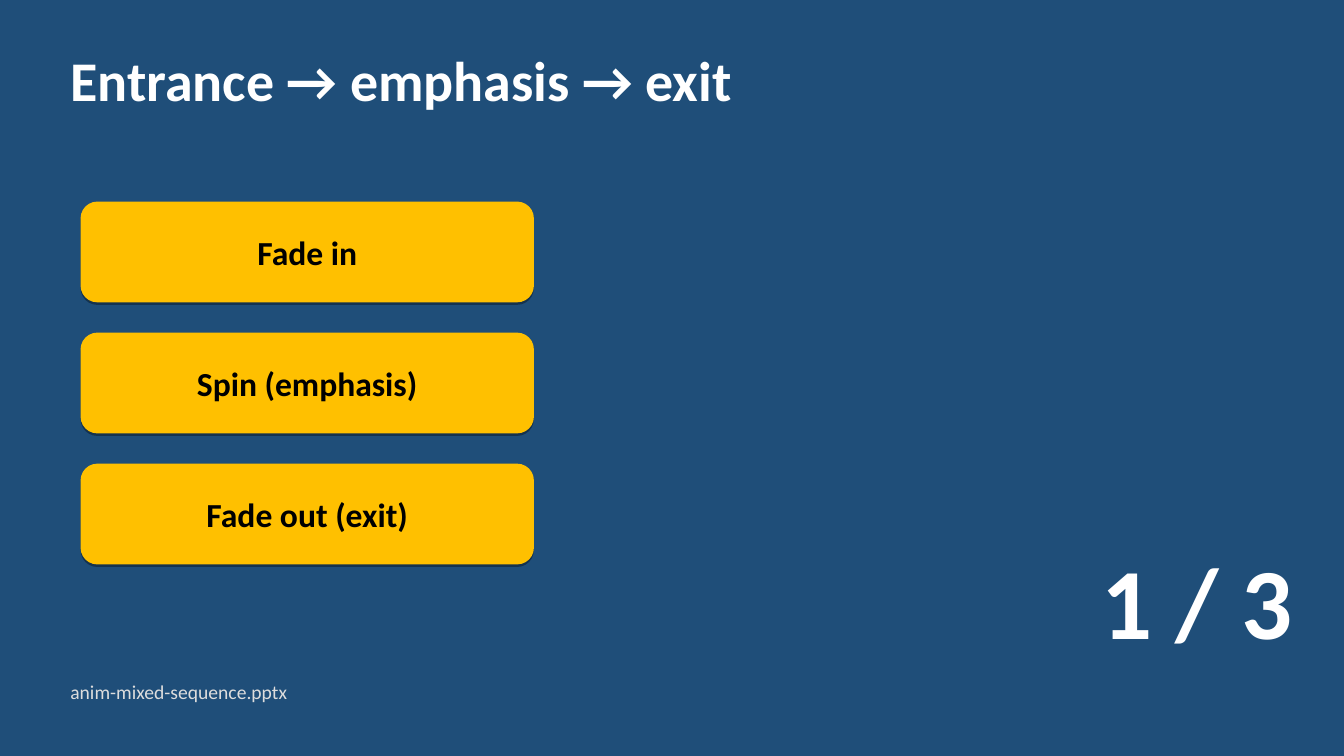
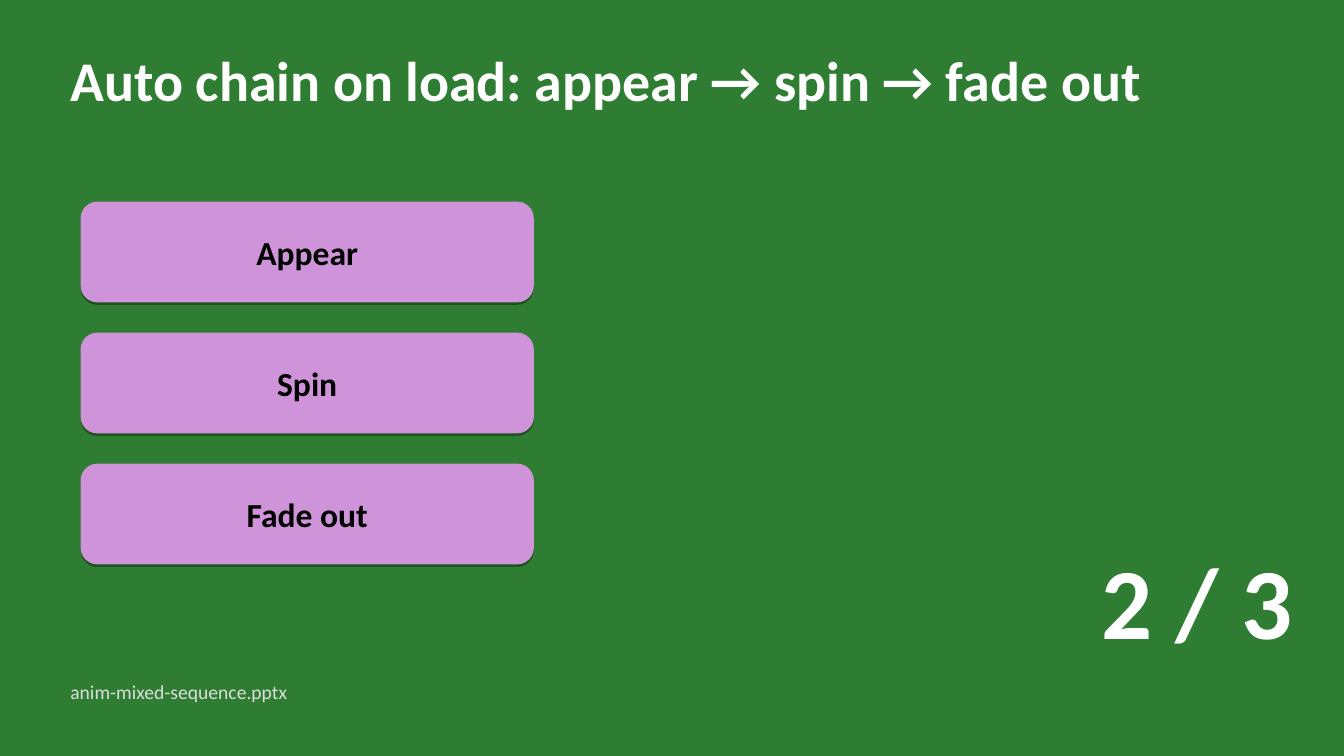
from dataclasses import dataclass

from lxml import etree
from pptx import Presentation
from pptx import util as u
from pptx.dml.color import RGBColor
from pptx.enum import shapes, text
from pptx.oxml import ns


@dataclass(frozen=True)
class Theme:
    font: str = "Calibri"
    light: str = "FFFFFF"
    muted: str = "DDDDDD"
    dark: str = "000000"
    blue: str = "1F4E79"
    green: str = "2E7D32"
    amber: str = "FFC000"
    lilac: str = "CE93D8"
    title_size: int = 40
    counter_size: int = 72
    footer_size: int = 14
    step_size: int = 24


THEME = Theme()
SLIDE_SIZE = (960.48, 540)
TITLE_BOX = (43.2, 28.8, 873.36, 55.44)
COUNTER_BOX = (714.96, 381.6, 216, 93.6)
FOOTER_BOX = (43.2, 482.4, 657.36, 23.76)
STEP_LEFT, STEP_TOP, STEP_WIDTH, STEP_HEIGHT, STEP_GAP = 57.6, 144, 324, 72, 21.6

FOOTER = "anim-mixed-sequence.pptx"
TOTAL = 3
SEQUENCES = [
    ("Entrance → emphasis → exit", THEME.blue, THEME.amber,
     ["Fade in", "Spin (emphasis)", "Fade out (exit)"]),
    ("Auto chain on load: appear → spin → fade out", THEME.green, THEME.lilac,
     ["Appear", "Spin", "Fade out"]),
]


def points(lengths):
    return [u.Pt(length) for length in lengths]


def paint(fill, color):
    fill.solid()
    fill.fore_color.rgb = RGBColor.from_string(color)


def write(frame, words, *, size, color=THEME.light, bold=True,
          align=text.PP_ALIGN.LEFT, anchor=text.MSO_ANCHOR.TOP):
    frame.word_wrap = True
    frame.vertical_anchor = anchor
    paragraph = frame.paragraphs[0]
    paragraph.alignment = align
    run = paragraph.add_run()
    run.text = words
    run.font.name = THEME.font
    run.font.size = u.Pt(size)
    run.font.bold = bold
    run.font.color.rgb = RGBColor.from_string(color)


def add_label(slide, box, words, **style):
    label = slide.shapes.add_textbox(*points(box))
    write(label.text_frame, words, **style)


def add_drop_shadow(shape):
    """Replace the theme shadow by a hard one just below the shape."""
    shape.shadow.inherit = False
    effects = shape.element.spPr.find(ns.qn("a:effectLst"))
    shadow = etree.SubElement(effects, ns.qn("a:outerShdw"), blurRad="0",
                              dist=str(u.Pt(1.8)), dir="5400000", rotWithShape="0")
    color = etree.SubElement(shadow, ns.qn("a:srgbClr"), val=THEME.dark)
    etree.SubElement(color, ns.qn("a:alpha"), val="35000")


def add_step(slide, index, words, color):
    top = STEP_TOP + index * (STEP_HEIGHT + STEP_GAP)
    step = slide.shapes.add_shape(shapes.MSO_SHAPE.ROUNDED_RECTANGLE,
                                  *points((STEP_LEFT, top, STEP_WIDTH, STEP_HEIGHT)))
    paint(step.fill, color)
    step.line.fill.background()
    add_drop_shadow(step)
    write(step.text_frame, words, size=THEME.step_size, color=THEME.dark,
          align=text.PP_ALIGN.CENTER, anchor=text.MSO_ANCHOR.MIDDLE)


def add_sequence_slide(deck, number, title, background, step_color, steps):
    slide = deck.slides.add_slide(deck.slide_layouts[6])
    paint(slide.background.fill, background)
    add_label(slide, TITLE_BOX, title, size=THEME.title_size)
    add_label(slide, COUNTER_BOX, f"{number} / {TOTAL}", size=THEME.counter_size,
              align=text.PP_ALIGN.RIGHT)
    add_label(slide, FOOTER_BOX, FOOTER, size=THEME.footer_size,
              color=THEME.muted, bold=False)
    for index, words in enumerate(steps):
        add_step(slide, index, words, step_color)


def main():
    deck = Presentation()
    deck.slide_width, deck.slide_height = points(SLIDE_SIZE)
    for number, sequence in enumerate(SEQUENCES, start=1):
        add_sequence_slide(deck, number, *sequence)
    deck.save("out.pptx")


if __name__ == "__main__":
    main()
